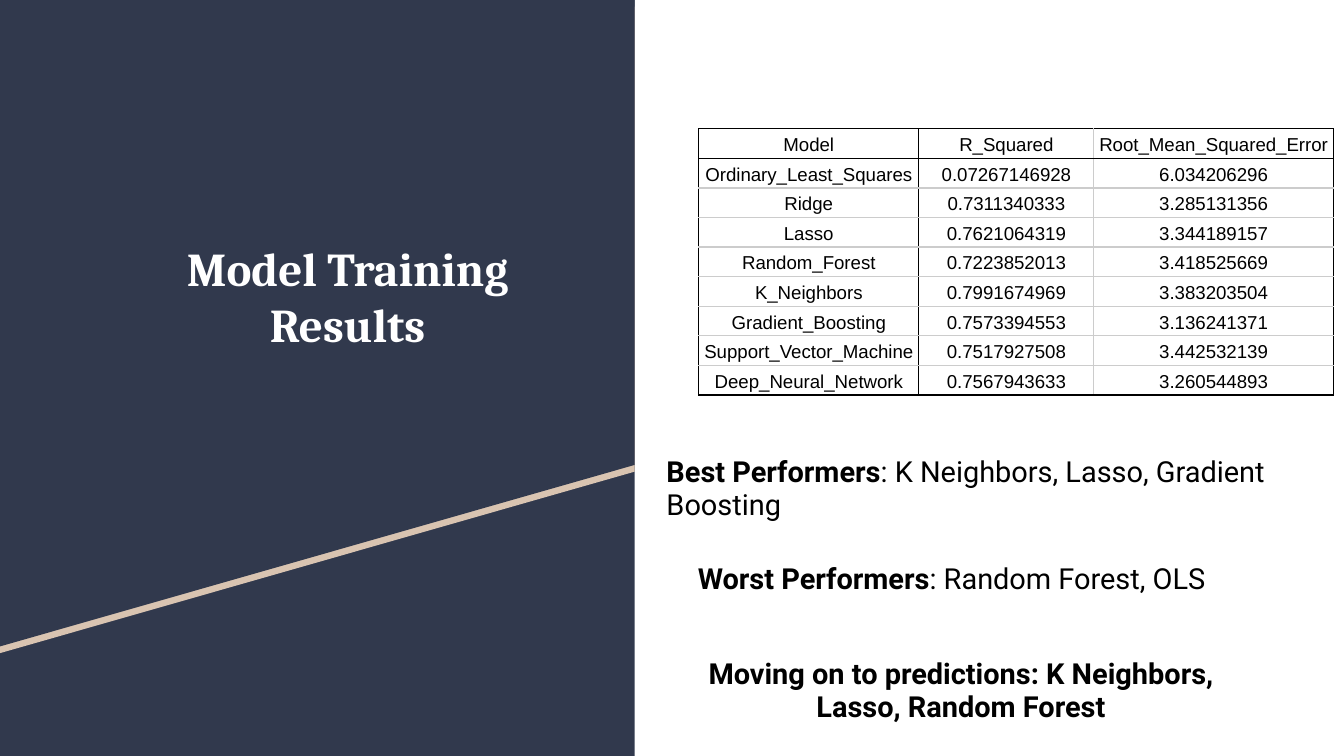
from dataclasses import dataclass

from lxml import etree
from pptx import Presentation
from pptx.dml.color import RGBColor
from pptx.enum.shapes import MSO_SHAPE
from pptx.enum.text import MSO_ANCHOR, PP_ALIGN
from pptx.oxml.ns import qn
from pptx.util import Pt

RECTANGLE = MSO_SHAPE.RECTANGLE
TOP, BOTTOM = MSO_ANCHOR.TOP, MSO_ANCHOR.BOTTOM
LEFT, CENTER = PP_ALIGN.LEFT, PP_ALIGN.CENTER

NAVY = RGBColor(0x31, 0x39, 0x4D)
SAND = RGBColor(0xD9, 0xC4, 0xB1)
WHITE = RGBColor(0xFF, 0xFF, 0xFF)
BLACK = RGBColor(0, 0, 0)
GREY = RGBColor(0xCC, 0xCC, 0xCC)

PANEL_WIDTH, SLIDE_WIDTH, SLIDE_HEIGHT = 340, 720, 405
TABLE_LEFT, TABLE_TOP, ROW_HEIGHT = 374.25, 69, 15.85
COLUMN_WIDTHS = (118, 93.75, 128.25)
BORDER_WIDTH = 0.75

RESULTS = (
    ("Model", "R_Squared", "Root_Mean_Squared_Error"),
    ("Ordinary_Least_Squares", "0.07267146928", "6.034206296"),
    ("Ridge", "0.7311340333", "3.285131356"),
    ("Lasso", "0.7621064319", "3.344189157"),
    ("Random_Forest", "0.7223852013", "3.418525669"),
    ("K_Neighbors", "0.7991674969", "3.383203504"),
    ("Gradient_Boosting", "0.7573394553", "3.136241371"),
    ("Support_Vector_Machine", "0.7517927508", "3.442532139"),
    ("Deep_Neural_Network", "0.7567943633", "3.260544893"),
)
CELL_FORMAT = {
    "margin_left": Pt(2.25), "margin_right": Pt(2.25),
    "margin_top": Pt(1.5), "margin_bottom": Pt(1.5),
    "vertical_anchor": BOTTOM,
}
FRAME_FORMAT = {
    "margin_left": Pt(7.2), "margin_right": Pt(7.2),
    "margin_top": Pt(7.2), "margin_bottom": Pt(7.2),
    "vertical_anchor": TOP, "word_wrap": True,
}


@dataclass
class Band:
    """Panel-wide area whose lower edge rises from left to right."""
    top: float
    left_bottom: float
    right_bottom: float
    color: RGBColor


@dataclass
class Style:
    font: str
    size: float
    color: RGBColor
    spacing: float = 1.0
    after: float = 0


@dataclass
class Statement:
    left: float
    top: float
    width: float
    height: float
    style: Style
    strong: str
    plain: str = ""
    align: PP_ALIGN = CENTER


TITLE = Style("Cambria", 25.2, WHITE)
BODY = Style("Roboto", 15.5, BLACK, 0.95, 12)
CELL = Style("Arial", 10, BLACK, 1.15)

BANDS = (
    Band(3.6, 349.9, 252.7, SAND),
    Band(0, 346.3, 249.1, NAVY),
)
STATEMENTS = (
    Statement(62, 121, 248.4, 45.4, TITLE, "Model Training Results"),
    Statement(350, 237, 364.3, 44, BODY, "Best Performers",
              ": K Neighbors, Lasso, Gradient Boosting", LEFT),
    Statement(366.75, 294.75, 296, 44, BODY, "Worst Performers",
              ": Random Forest, OLS", LEFT),
    Statement(366.75, 345.5, 296, 44, BODY,
              "Moving on to predictions: K Neighbors, Lasso, Random Forest"),
)


def apply(target, values: dict) -> None:
    for attribute, value in values.items():
        setattr(target, attribute, value)


def paint(shape, color: RGBColor) -> None:
    shape.shadow.inherit = False
    shape.fill.solid()
    shape.fill.fore_color.rgb = color
    shape.line.fill.background()


def draw_band(slide, band: Band) -> None:
    builder = slide.shapes.build_freeform(Pt(0), Pt(band.top))
    builder.add_line_segments([
        (Pt(PANEL_WIDTH), Pt(band.top)),
        (Pt(PANEL_WIDTH), Pt(band.right_bottom)),
        (Pt(0), Pt(band.left_bottom)),
    ])
    paint(builder.convert_to_shape(), band.color)


def write(paragraph, style: Style, align: PP_ALIGN, runs: list[tuple[str, bool]]) -> None:
    apply(paragraph, {"alignment": align, "line_spacing": style.spacing,
                      "space_after": Pt(style.after)})
    for text, bold in runs:
        run = paragraph.add_run()
        run.text = text
        apply(run.font, {"name": style.font, "size": Pt(style.size), "bold": bold})
        run.font.color.rgb = style.color


def draw_statement(slide, item: Statement) -> None:
    box = slide.shapes.add_textbox(
        Pt(item.left), Pt(item.top), Pt(item.width), Pt(item.height))
    apply(box.text_frame, FRAME_FORMAT)
    runs = [(item.strong, True)]
    if item.plain:
        runs.append((item.plain, False))
    write(box.text_frame.paragraphs[0], item.style, item.align, runs)


def set_borders(cell, colors: dict[str, RGBColor]) -> None:
    properties = cell._tc.get_or_add_tcPr()
    for edge, color in colors.items():
        line = etree.SubElement(properties, qn(f"a:ln{edge}"), w=str(Pt(BORDER_WIDTH)))
        fill = etree.SubElement(line, qn("a:solidFill"))
        etree.SubElement(fill, qn("a:srgbClr"), val=str(color))


def draw_results(slide) -> None:
    """Table with a black frame and header rule; inner rules are grey."""
    row_count, column_count = len(RESULTS), len(COLUMN_WIDTHS)
    table = slide.shapes.add_table(
        row_count, column_count, Pt(TABLE_LEFT), Pt(TABLE_TOP),
        Pt(sum(COLUMN_WIDTHS)), Pt(ROW_HEIGHT * row_count)).table
    apply(table, {"first_row": False, "horz_banding": False})
    for column, width in zip(table.columns, COLUMN_WIDTHS):
        column.width = Pt(width)
    row_rules = [BLACK, BLACK] + [GREY] * (row_count - 2) + [BLACK]
    column_rules = [BLACK, BLACK, GREY, BLACK]
    for r, record in enumerate(RESULTS):
        table.rows[r].height = Pt(ROW_HEIGHT)
        for c, value in enumerate(record):
            cell = table.cell(r, c)
            apply(cell, CELL_FORMAT)
            set_borders(cell, {"L": column_rules[c], "R": column_rules[c + 1],
                               "T": row_rules[r], "B": row_rules[r + 1]})
            cell.fill.background()
            write(cell.text_frame.paragraphs[0], CELL, CENTER, [(value, False)])


def main() -> None:
    deck = Presentation()
    apply(deck, {"slide_width": Pt(SLIDE_WIDTH), "slide_height": Pt(SLIDE_HEIGHT)})
    slide = deck.slides.add_slide(deck.slide_layouts[6])
    panel = slide.shapes.add_shape(
        RECTANGLE, Pt(0), Pt(0), Pt(PANEL_WIDTH), Pt(SLIDE_HEIGHT))
    paint(panel, NAVY)
    for band in BANDS:
        draw_band(slide, band)
    draw_results(slide)
    for statement in STATEMENTS:
        draw_statement(slide, statement)
    deck.save("out.pptx")


if __name__ == "__main__":
    main()
